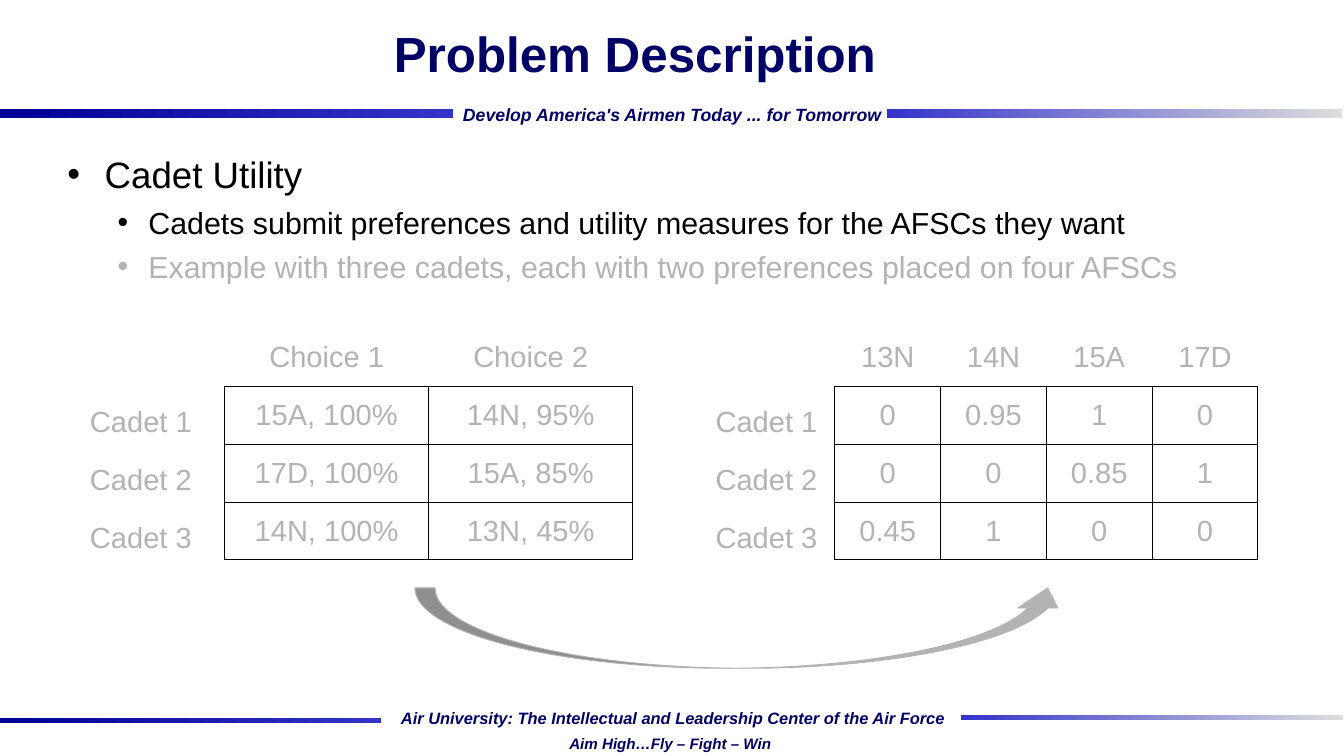
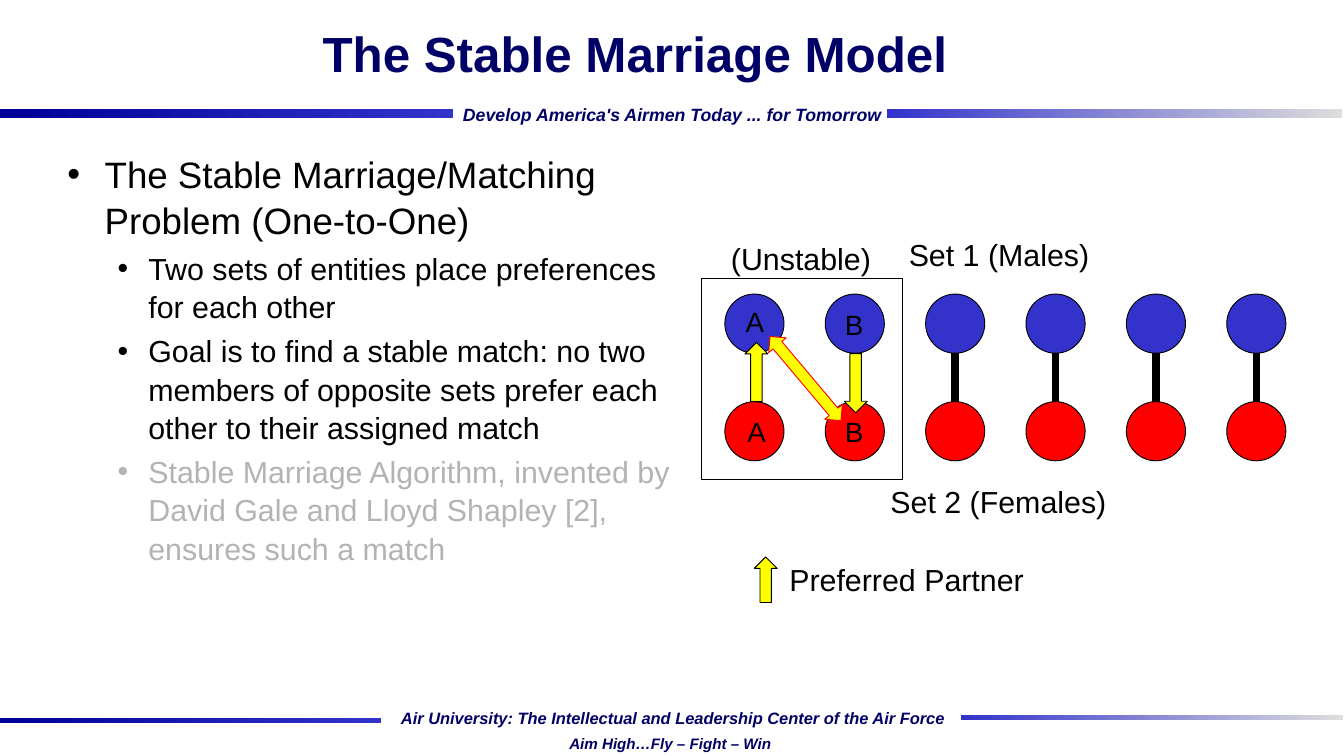
from lxml import etree
from pptx import Presentation
from pptx import util as u
from pptx.dml.color import RGBColor
from pptx.enum import shapes, text
from pptx.oxml import ns

rgb = RGBColor.from_string
Cm, Pt = u.Cm, u.Pt
Kind, Align, Anchor = shapes.MSO_SHAPE, text.PP_ALIGN, text.MSO_ANCHOR
NAVY, DARK, BLUE, PALE = "000066", "000099", "3333CC", "DDDDDD"
BLACK, GRAY, RED, GOLD = "000000", "B3B3B3", "FF0000", "FFFF00"
FACE = "Arial"


def draw(page, kind, x, y, w, h, fill=None, line=None, turn=0):
    form = page.shapes.add_shape(kind, Cm(x), Cm(y), Cm(w), Cm(h))
    form.shadow.inherit = False
    form.rotation = turn
    if fill:
        form.fill.solid()
        form.fill.fore_color.rgb = rgb(fill)
    else:
        form.fill.background()
    if line:
        form.line.color.rgb = rgb(line)
        form.line.width = Pt(0.75)
    else:
        form.line.fill.background()
    return form


def write(page, x, y, w, h, words, size, tint=BLACK, bold=False, slant=False, align=Align.LEFT):
    box = page.shapes.add_textbox(Cm(x), Cm(y), Cm(w), Cm(h))
    box.text_frame.word_wrap = False
    para = box.text_frame.paragraphs[0]
    para.text = words
    para.alignment = align
    font = para.font
    font.name, font.size, font.bold, font.italic = FACE, Pt(size), bold, slant
    font.color.rgb = rgb(tint)
    return box


deck = Presentation()
deck.slide_width, deck.slide_height = Cm(37.49), Cm(21.08)

bars = [
    (24.74, 3.05, 12.7, 0.23, BLUE, PALE),
    (-0.05, 3.05, 12.7, 0.23, DARK, BLUE),
    (-0.05, 20.02, 10.67, 0.13, DARK, BLUE),
    (26.8, 19.94, 10.67, 0.13, BLUE, PALE),
]
mottos = [
    (12.62, 2.77, 12.27, 0.86, "Develop America's Airmen Today ... for Tomorrow", 14),
    (10.82, 19.61, 15.88, 0.79,
     "Air University: The Intellectual and Leadership Center of the Air Force", 13),
    (15.55, 20.35, 6.3, 0.74, "Aim High…Fly – Fight – Win", 12),
]
levels = [(29, 1.04, 1.04), (24, 2.26, 0.86)]
topics = [
    ("Problem Description", 33.7, [
        (0, "Cadet Utility", BLACK),
        (1, "Cadets submit preferences and utility measures for the AFSCs they want", BLACK),
        (1, "Example with three cadets, each with two preferences placed on four AFSCs", GRAY),
    ]),
    ("The Stable Marriage Model", 17.93, [
        (0, "The Stable Marriage/Matching Problem (One-to-One)", BLACK),
        (1, "Two sets of entities place preferences for each other", BLACK),
        (1, "Goal is to find a stable match: no two members of opposite sets prefer "
            "each other to their assigned match", BLACK),
        (1, "Stable Marriage Algorithm, invented by David Gale and Lloyd Shapley [2], "
            "ensures such a match", GRAY),
    ]),
]

pages = []
for title, width, points in topics:
    page = deck.slides.add_slide(deck.slide_layouts[6])
    pages.append(page)
    for x, y, w, h, left, right in bars:
        bar = draw(page, Kind.RECTANGLE, x, y, w, h)
        bar.fill.gradient()
        bar.fill.gradient_angle = 0
        for stop, tint in zip(bar.fill.gradient_stops, (left, right)):
            stop.color.rgb = rgb(tint)
    for x, y, w, h, words, size in mottos:
        write(page, x, y, w, h, words, size, NAVY, True, True, Align.CENTER)
    head = write(page, 3.2, 0, 29.03, 2.97, title, 39, NAVY, True, align=Align.CENTER)
    head.text_frame.word_wrap = True
    head.text_frame.vertical_anchor = Anchor.MIDDLE

    frame = page.shapes.add_textbox(Cm(1.6), Cm(4.05), Cm(width), Cm(15.4)).text_frame
    frame.word_wrap = True
    frame.margin_left = frame.margin_right = Cm(0.28)
    for i, (level, words, tint) in enumerate(points):
        para = frame.add_paragraph() if i else frame.paragraphs[0]
        size, left, hang = levels[level]
        para.text = words
        para.level = level
        para.line_spacing = 1.05
        if i:
            para.space_before = Pt(size * 0.2)
        props = para._p.get_or_add_pPr()
        props.set("marL", str(Cm(left)))
        props.set("indent", str(-Cm(hang)))
        etree.SubElement(props, ns.qn("a:buFont")).set("typeface", FACE)
        etree.SubElement(props, ns.qn("a:buChar")).set("char", "•")
        para.font.name, para.font.size = FACE, Pt(size)
        para.font.color.rgb = rgb(tint)

need, match = pages

grids = [
    (2.18, 4.09, 5.69, [
        ["", "Choice 1", "Choice 2"],
        ["Cadet 1", "15A, 100%", "14N, 95%"],
        ["Cadet 2", "17D, 100%", "15A, 85%"],
        ["Cadet 3", "14N, 100%", "13N, 45%"],
    ]),
    (19.63, 3.66, 2.95, [
        ["", "13N", "14N", "15A", "17D"],
        ["Cadet 1", "0", "0.95", "1", "0"],
        ["Cadet 2", "0", "0", "0.85", "1"],
        ["Cadet 3", "0.45", "1", "0", "0"],
    ]),
]
for x, first, rest, rows in grids:
    count = len(rows[0])
    grid = need.shapes.add_table(len(rows), count, Cm(x), Cm(9.17),
                                 Cm(first + rest * (count - 1)), Cm(6.44)).table
    grid.first_row = grid.horz_banding = False
    grid._tbl.tblPr[0].text = "{2D5ABB26-0587-4C30-8999-92F81FD0307C}"
    for c in range(count):
        grid.columns[c].width = Cm(rest if c else first)
    for r, row in enumerate(rows):
        grid.rows[r].height = Cm(1.61)
        for c, words in enumerate(row):
            cell = grid.cell(r, c)
            cell.margin_left = cell.margin_right = Cm(0.33)
            cell.margin_top = cell.margin_bottom = Cm(0.15)
            cell.vertical_anchor = Anchor.MIDDLE if c else Anchor.BOTTOM
            if r and c:
                for side in "LRTB":
                    edge = etree.SubElement(cell._tc.get_or_add_tcPr(), ns.qn("a:ln" + side))
                    edge.set("w", str(Pt(1)))
                    ink = etree.SubElement(edge, ns.qn("a:solidFill"))
                    etree.SubElement(ink, ns.qn("a:srgbClr")).set("val", BLACK)
            cell.fill.background()
            para = cell.text_frame.paragraphs[0]
            para.text = words
            para.alignment = Align.CENTER if c else Align.LEFT
            para.font.name, para.font.size = FACE, Pt(23)
            para.font.color.rgb = rgb(GRAY)

swoop = draw(need, Kind.CURVED_LEFT_ARROW, 19.56, 8.41, 2.24, 18.21, GRAY, GRAY, 270)
swoop._element.spPr.xfrm.set("flipH", "1")

SIZE, HIGH, LOW = 1.65, 8.2, 11.2
for i in range(6):
    x = 20.22 + 2.8 * i
    mid = Cm(x + SIZE / 2)
    link = match.shapes.add_connector(shapes.MSO_CONNECTOR.STRAIGHT,
                                      mid, Cm(HIGH + SIZE), mid, Cm(LOW))
    link.line.color.rgb = rgb(BLACK)
    link.line.width = Pt(6)
    etree.SubElement(link._element.spPr, ns.qn("a:effectLst"))
    for y, tint in ((HIGH, BLUE), (LOW, RED)):
        draw(match, Kind.OVAL, x, y, SIZE, SIZE, tint, BLACK)

draw(match, Kind.UP_ARROW, 21.04, 15.53, 0.64, 1.27, GOLD, BLACK)
draw(match, Kind.UP_DOWN_ARROW, 22.15, 9.02, 0.64, 3.07, GOLD, RED, 319.9)
draw(match, Kind.UP_ARROW, 20.78, 9.55, 0.64, 1.65, GOLD, BLACK)
draw(match, Kind.RECTANGLE, 19.58, 7.77, 5.59, 5.59, None, BLACK)
draw(match, Kind.DOWN_ARROW, 23.55, 9.86, 0.64, 1.65, GOLD, BLACK)

labels = [
    (20.14, 6.58, 4.47, "(Unstable)", 24),
    (25.1, 6.45, 5.59, "Set 1 (Males)", 24),
    (24.59, 13.36, 6.6, "Set 2 (Females)", 24),
    (21.77, 15.52, 7.11, "Preferred Partner", 24),
    (20.55, 8.36, 1.04, "A", 22),
    (20.6, 11.43, 1.04, "A", 22),
    (23.32, 11.43, 1.04, "B", 22),
    (23.32, 8.46, 1.04, "B", 22),
]
for x, y, w, words, size in labels:
    write(match, x, y, w, 1.27, words, size)

deck.save("out.pptx")
